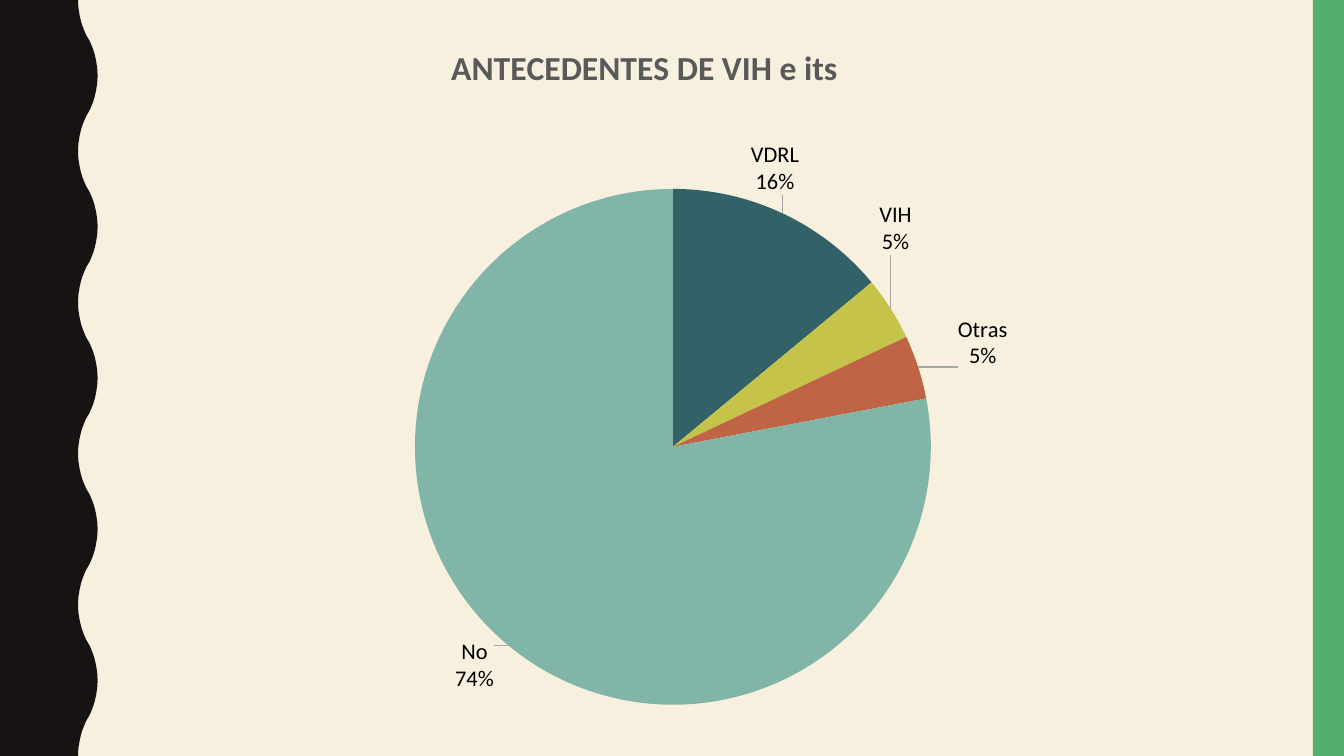
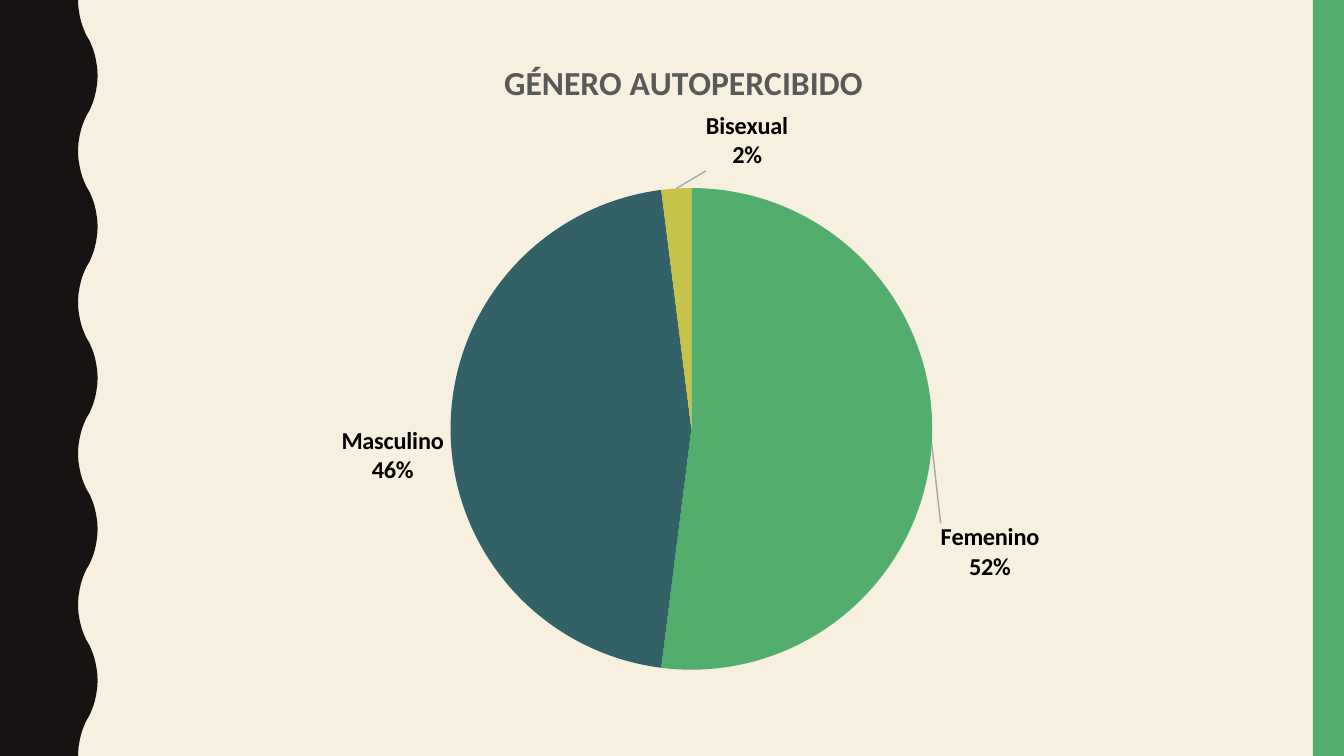
from dataclasses import dataclass
from lxml.etree import SubElement as Sub
from pptx import Presentation
from pptx.chart.data import CategoryChartData as Data
from pptx.dml.color import RGBColor as RGB
from pptx.enum.chart import XL_CHART_TYPE as Kind, XL_LABEL_POSITION as Pos
from pptx.enum.shapes import MSO_SHAPE as Form
from pptx.oxml.ns import qn
from pptx.util import Pt


@dataclass(frozen=True)
class Theme:
    paper: str = "F7F0DF"
    ink: str = "171312"
    green: str = "53AE6E"
    teal: str = "326267"
    lime: str = "C5C34A"
    rust: str = "BF6546"
    mint: str = "81B5A8"
    title: str = "595959"
    text: str = "000000"
    rule: str = "A6A6A6"
    face: str = "Calibri"
    base: int = 10
    head: int = 18
    small: int = 12
    large: int = 13


T = Theme()
WIDE, HIGH = 720, 405
HUES = (T.green, T.teal, T.lime, T.rust, T.mint)


def paint(fill, hue):
    fill.solid()
    fill.fore_color.rgb = RGB.from_string(hue)


def style(font, size, hue, bold):
    font.name, font.size, font.bold = T.face, Pt(size), bold
    font.color.rgb = RGB.from_string(hue)


def flat(shape, hue):
    shape.shadow.inherit = False
    paint(shape.fill, hue)
    shape.line.fill.background()
    return shape


def wave(shapes, box, waves, depth):
    """Band whose right edge swings by depth, the given number of times."""
    left, top, wide, high = box
    step = high / waves
    # Shares of depth and of one wave, up to the first bend
    bend = [(0, 0), (.02, .05), (.08, .1), (.15, .14), (.22, .17),
            (.31, .2), (.41, .23), (.5, .25)]
    half = bend + [(1 - x, .5 - y) for x, y in bend[-2::-1]]
    full = half + [(x, 1 - y) for x, y in half[-2::-1]]
    edge = [(left + wide - depth * (1 - x), top + step * (n + y))
            for n in range(waves) for x, y in full]
    pen = shapes.build_freeform(Pt(left), Pt(top))
    pen.add_line_segments([(Pt(x), Pt(y)) for x, y in edge]
                          + [(Pt(left), Pt(top + high))])
    return flat(pen.convert_to_shape(), T.ink)


def band(shapes, box):
    return flat(shapes.add_shape(Form.RECTANGLE, *map(Pt, box)), T.green)


def dress(master, slide):
    """Put the shared background and side bands on the master."""
    paint(master.background.fill, T.paper)
    parts = (wave(slide.shapes, (0, 0, 52.3, HIGH), 5, 10.5),
             band(slide.shapes, (703.3, 0, 16.7, HIGH)))
    for part in parts:
        master.shapes._spTree.append(part._element)


def place(node, index, spots, edge=None):
    """Give a chart part a manual layout, in percent of the chart."""
    old = node.find(qn("c:layout"))
    if old is not None:
        node.remove(old)
    grid = Sub(node, qn("c:layout"))
    node.insert(index, grid)
    form = Sub(grid, qn("c:manualLayout"))
    if edge == "inner":
        Sub(form, qn("c:layoutTarget"), val="inner")
    if edge:
        for mode in ("xMode", "yMode"):
            Sub(form, qn("c:" + mode), val="edge")
    for key, val in zip("xywh", spots):
        Sub(form, qn("c:" + key), val=str(val / 100))


def split(node):
    """Set the category and the percentage on two lines."""
    for key, val in (("showVal", 0), ("showCatName", 1), ("showPercent", 1)):
        node.find(qn("c:" + key)).set("val", str(val))
    mark = Sub(node, qn("c:separator"))
    mark.text = "\n"
    node.find(qn("c:showBubbleSize")).addnext(mark)


def guide(node):
    """Colour the lines that lead to the labels."""
    lines = Sub(node, qn("c:leaderLines"))
    node.find(qn("c:showLeaderLines")).addnext(lines)
    line = Sub(Sub(lines, qn("c:spPr")), qn("a:ln"), w=str(Pt(.75)))
    Sub(Sub(line, qn("a:solidFill")), qn("a:srgbClr"), val=T.rule)


def tag(point, text, size):
    label = point.data_label
    if text:
        label.text_frame.text = text
        for para in label.text_frame.paragraphs:
            for run in para.runs:
                style(run.font, size, T.text, False)
    else:
        style(label.font, size, T.text, True)
    label.position = Pos.OUTSIDE_END


def label(series, rows, size):
    tags = series.data_labels
    tags.show_value = False
    tags.show_category_name = tags.show_percentage = True
    tags.position = Pos.OUTSIDE_END
    style(tags.font, size, T.text, True)
    root = tags._element
    split(root)
    guide(root)
    for i, (name, val, text, shift) in enumerate(rows):
        point = series.points[i]
        paint(point.format.fill, HUES[i])
        tag(point, text, size)
        node = root.findall(qn("c:dLbl"))[i]
        if val is None:
            for part in list(node)[1:]:
                node.remove(part)
            Sub(node, qn("c:delete"), val="1")
            continue
        split(node)
        place(node, 1, shift)


def pie(slide, box, title, spot, plot, rows, size):
    data = Data()
    data.categories = [row[0] for row in rows]
    data.add_series("Series 1", [row[1] for row in rows])
    chart = slide.shapes.add_chart(Kind.PIE, *map(Pt, box), data).chart
    chart.has_legend = False
    style(chart.font, T.base, T.text, False)
    head = chart.chart_title
    head.text_frame.text = title
    style(head.text_frame.paragraphs[0].runs[0].font, T.head, T.title, True)
    place(head._element, 1, spot, "edge")
    place(chart._chartSpace.chart.plotArea, 0, plot, "inner")
    chart.plots[0].vary_by_categories = True
    label(chart.plots[0].series[0], rows, size)


def history(slide):
    rows = [("", None, None, None),
            ("VDRL", 14, "VDRL\n16%", (-3.7, -1.6)),
            ("VIH", 4, "VIH\n5%", (-1.9, -7.1)),
            ("Otras", 4, "Otras\n5%", (3.4, .7)),
            ("No", 78, "No\n74%", (-1, -1.9))]
    pie(slide, (109.4, 15.8, 508.3, 371.5), "ANTECEDENTES DE VIH e its",
        (25.4, 1.3), (7.8, 23, 83.2, 74.4), rows, T.small)


def gender(slide):
    rows = [("Femenino", 52, None, (.1, 16.7)),
            ("Masculino", 46, None, (.1, 4.2)),
            ("Bisexual", 2, None, (7.2, -1.5))]
    pie(slide, (101.5, 18, 529.9, 347.8), "GÉNERO AUTOPERCIBIDO",
        (31.2, 3), (9.1, 23.8, 83.3, 74.2), rows, T.large)


def main():
    deck = Presentation()
    deck.slide_width, deck.slide_height = Pt(WIDE), Pt(HIGH)
    blank = deck.slide_layouts[6]
    for n, fill in enumerate((history, gender)):
        slide = deck.slides.add_slide(blank)
        if n == 0:
            dress(deck.slide_master, slide)
        fill(slide)
    deck.save("out.pptx")


if __name__ == "__main__":
    main()
